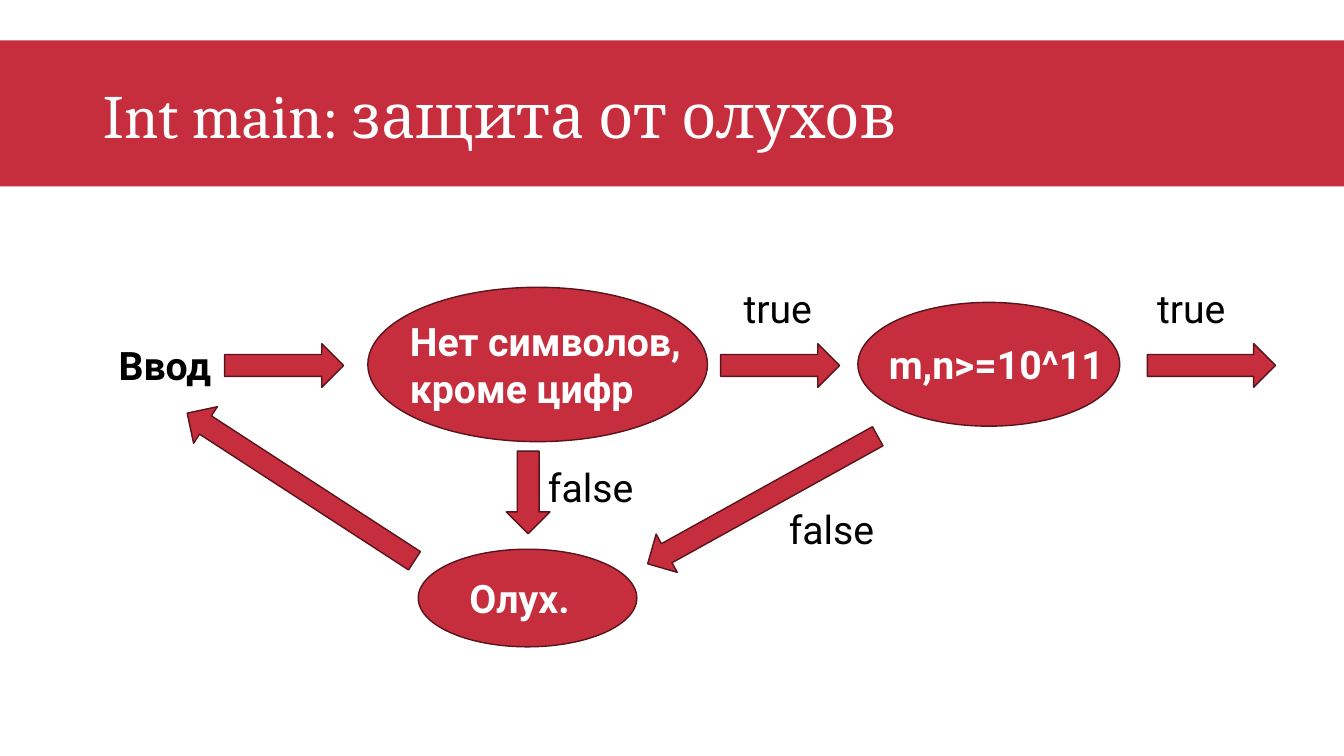
from pptx import Presentation
from pptx.dml.color import RGBColor
from pptx.enum.shapes import MSO_SHAPE as Preset
from pptx.enum.text import MSO_ANCHOR as Anchor, MSO_AUTO_SIZE as AutoSize, PP_ALIGN as Align
from pptx.util import Cm, Pt

RED = RGBColor(0xC6, 0x2E, 0x3E)
DARK_RED = RGBColor(0x57, 0x14, 0x1B)
WHITE = RGBColor(0xFF, 0xFF, 0xFF)
BLACK = RGBColor(0x00, 0x00, 0x00)

SLIDE_WIDTH, SLIDE_HEIGHT = 33.87, 19.05
BAND_TOP, BAND_HEIGHT = 1.02, 3.68
ARROW_THICKNESS = 1.1
ROW_CENTER = 9.21
LINE_HEIGHT = 1.45

TITLE = "Int main: защита от олухов"

ELLIPSES = [
    (10.54, 13.84, 5.51, 2.46),
    (9.27, 7.24, 8.56, 3.89),
    (21.62, 7.62, 6.6, 3.12),
]

NODE_LABELS = [
    ("Ввод", 2.74, 8.48, 2.92, 1, BLACK),
    ("Нет символов, кроме цифр", 10.08, 7.87, 7.39, 2, WHITE),
    ("m,n>=10^11", 22.15, 8.46, 6.07, 1, WHITE),
    ("Олух.", 11.58, 14.35, 7.39, 1, WHITE),
]

ARROWS = [
    (7.16, ROW_CENTER, 3.0, 0),
    (19.66, ROW_CENTER, 3.0, 0),
    (30.53, ROW_CENTER, 3.23, 0),
    (13.31, 12.41, 2.08, 90),
    (19.22, 12.6, 6.63, 151),
    (7.58, 12.27, 6.83, 213),
]

BRANCH_LABELS = [
    ("true", 18.49, 7.04),
    ("true", 28.91, 7.04),
    ("false", 13.56, 11.56),
    ("false", 19.63, 12.6),
]


def write(shape, text, size=28, font="Roboto", color=BLACK, bold=False, anchor=Anchor.TOP):
    frame = shape.text_frame
    frame.word_wrap = True
    frame.auto_size = AutoSize.NONE
    frame.vertical_anchor = anchor
    paragraph = frame.paragraphs[0]
    paragraph.alignment = Align.LEFT
    run = paragraph.add_run()
    run.text = text
    run.font.size = Pt(size)
    run.font.name = font
    run.font.bold = bold
    run.font.color.rgb = color


def add_red_shape(slide, preset, left, top, width, height, outlined=True):
    shape = slide.shapes.add_shape(preset, Cm(left), Cm(top), Cm(width), Cm(height))
    shape.shadow.inherit = False
    shape.fill.solid()
    shape.fill.fore_color.rgb = RED
    if outlined:
        shape.line.color.rgb = DARK_RED
        shape.line.width = Pt(1)
    else:
        shape.line.fill.background()
    return shape


def add_label(slide, text, left, top, width, lines=1, **text_format):
    height = LINE_HEIGHT + (lines - 1) * 1.19
    label = slide.shapes.add_textbox(Cm(left), Cm(top), Cm(width), Cm(height))
    write(label, text, **text_format)


def main():
    presentation = Presentation()
    presentation.slide_width = Cm(SLIDE_WIDTH)
    presentation.slide_height = Cm(SLIDE_HEIGHT)
    slide = presentation.slides.add_slide(presentation.slide_layouts[5])

    band = add_red_shape(slide, Preset.RECTANGLE, 0, BAND_TOP, SLIDE_WIDTH, BAND_HEIGHT, outlined=False)
    title = slide.shapes.title
    title._element.addprevious(band._element)
    title.left, title.top = Cm(2.34), Cm(BAND_TOP)
    title.width, title.height = Cm(29.21), Cm(BAND_HEIGHT)
    write(title, TITLE, size=44, font="Cambria", color=WHITE, anchor=Anchor.MIDDLE)

    for box in ELLIPSES:
        add_red_shape(slide, Preset.OVAL, *box)

    for text, left, top, width, lines, color in NODE_LABELS:
        add_label(slide, text, left, top, width, lines, color=color, bold=True)

    for center_x, center_y, length, rotation in ARROWS:
        left, top = center_x - length / 2, center_y - ARROW_THICKNESS / 2
        arrow = add_red_shape(slide, Preset.RIGHT_ARROW, left, top, length, ARROW_THICKNESS)
        arrow.rotation = rotation

    for text, left, top in BRANCH_LABELS:
        add_label(slide, text, left, top, 3.1)

    presentation.save("out.pptx")


if __name__ == "__main__":
    main()
